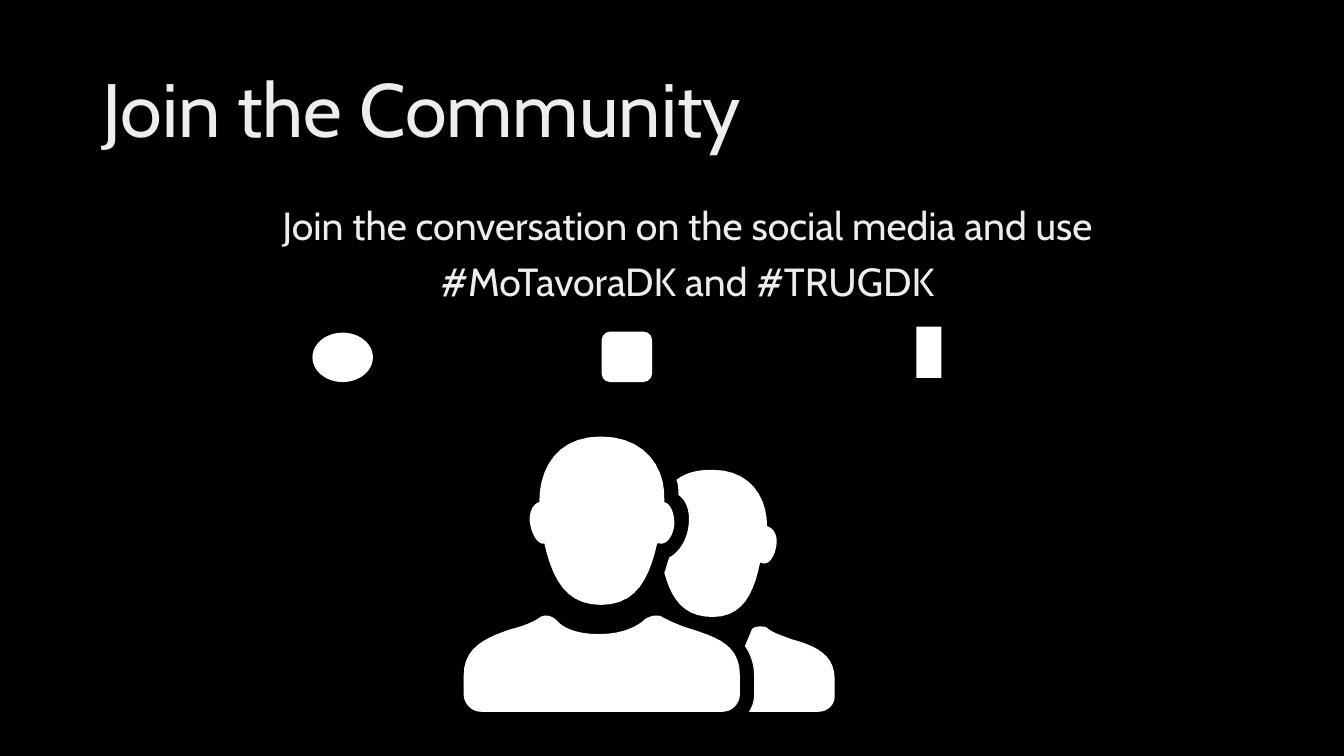
from dataclasses import dataclass

from pptx import Presentation
from pptx.dml.color import RGBColor
from pptx.enum.shapes import MSO_SHAPE
from pptx.enum.text import MSO_ANCHOR, PP_ALIGN
from pptx.util import Pt


@dataclass(frozen=True)
class Theme:
    background: RGBColor = RGBColor(0x00, 0x00, 0x00)
    text: RGBColor = RGBColor(0xED, 0xED, 0xED)
    icon: RGBColor = RGBColor(0xFF, 0xFF, 0xFF)
    font: str = "Cabin"
    title_size: int = 54
    body_size: int = 28


THEME = Theme()

# Each outline starts at a point; pairs are lines, sextets are cubic curves.
PEOPLE_WIDTH = 368
BACK_HEAD = [
    (298, 126), (303, 126, 308, 120, 310, 109), (312, 99, 308, 91, 301, 89),
    (301, 60, 284, 33, 247, 33), (231, 33, 220, 36, 211, 43),
    (213, 48, 213, 53, 213, 58), (221, 63, 225, 75, 223, 89),
    (221, 104, 213, 115, 204, 120), (202, 125, 201, 130, 199, 135),
    (206, 161, 218, 179, 247, 179), (277, 179, 288, 155, 294, 125),
]
BACK_SHOULDER = [
    (325, 201), (318, 198, 306, 195, 300, 189), (294, 188, 289, 188, 286, 191),
    (279, 208), (284, 215, 288, 225, 288, 237), (288, 256),
    (288, 263, 286, 268, 283, 273), (352, 273),
    (361, 273, 368, 266, 368, 258), (368, 241), (368, 217, 351, 208, 325, 201),
]
FRONT_HEAD = [
    (80, 106), (88, 142, 102, 167, 136, 167), (172, 167, 184, 140, 192, 106),
    (194, 106), (201, 108, 208, 99, 209, 87), (209, 77, 206, 67, 199, 65),
    (201, 31, 180, 0, 136, 0), (93, 0, 75, 31, 75, 65),
    (68, 67, 64, 77, 66, 87), (68, 99, 75, 108, 80, 106),
]
FRONT_SHOULDERS = [
    (226, 191), (218, 189, 204, 183, 197, 179), (192, 176, 185, 178, 180, 181),
    (180, 181, 167, 196, 134, 196), (102, 196, 93, 183, 93, 183),
    (88, 178, 82, 176, 76, 179), (70, 184, 56, 189, 47, 191),
    (20, 200, 0, 210, 0, 237), (0, 256), (0, 264, 7, 273, 17, 273),
    (257, 273), (267, 273, 274, 264, 274, 256), (274, 237),
    (274, 208, 254, 200, 226, 191),
]


def add_text(s, box, lines, size, align, anchor, space_before=0):
    tf = s.shapes.add_textbox(*map(Pt, box)).text_frame
    tf.word_wrap = True
    tf.vertical_anchor = anchor
    for i, line in enumerate(lines):
        p = tf.paragraphs[0] if i == 0 else tf.add_paragraph()
        p.text = line
        p.alignment = align
        p.line_spacing = 0.9
        p.space_before = Pt(space_before)
        p.font.name = THEME.font
        p.font.size = Pt(size)
        p.font.color.rgb = THEME.text


def paint_icon(sp):
    sp.fill.solid()
    sp.fill.fore_color.rgb = THEME.icon
    sp.line.fill.background()
    sp.shadow.inherit = False


def flatten(outline, steps=10):
    """Turn an outline's lines and cubic curves into a list of points."""
    points = [outline[0]]
    for segment in outline[1:]:
        if len(segment) == 2:
            points.append(segment)
            continue
        start = points[-1]
        for step in range(1, steps + 1):
            t = step / steps
            u = 1 - t
            points.append(tuple(
                u**3 * start[k] + 3 * u * u * t * segment[k]
                + 3 * u * t * t * segment[k + 2] + t**3 * segment[k + 4]
                for k in (0, 1)))
    return points


def add_people(s, left, top, width):
    scale = width / PEOPLE_WIDTH
    builder = None
    for outline in (BACK_HEAD, BACK_SHOULDER, FRONT_HEAD, FRONT_SHOULDERS):
        points = [(Pt(left + x * scale), Pt(top + y * scale))
                  for x, y in flatten(outline)]
        if builder is None:
            builder = s.shapes.build_freeform(*points[0])
        else:
            builder.move_to(*points[0])
        builder.add_line_segments(points[1:], close=True)
    paint_icon(builder.convert_to_shape())


def add_channels(s, left, top):
    """Place one plain marker per social channel, by offset from the row's corner."""
    for kind, x, y, w, h in (
        (MSO_SHAPE.OVAL, 0, 4.3, 43.2, 35.3),
        (MSO_SHAPE.ROUNDED_RECTANGLE, 206.6, 3.6, 36, 36),
        (MSO_SHAPE.RECTANGLE, 431.3, 0, 18, 36.7),
    ):
        paint_icon(s.shapes.add_shape(
            kind, Pt(left + x), Pt(top + y), Pt(w), Pt(h)))


def community_slide(prs):
    s = prs.slides.add_slide(prs.slide_layouts[6])
    s.background.fill.solid()
    s.background.fill.fore_color.rgb = THEME.background
    add_text(s, (66, 28.8, 828, 104.4), ["Join the Community"],
             THEME.title_size, PP_ALIGN.LEFT, MSO_ANCHOR.MIDDLE)
    add_text(s, (88, 144, 805.7, 342.7),
             ["Join the conversation on the social media and use",
              "#MoTavoraDK and #TRUGDK"],
             THEME.body_size, PP_ALIGN.CENTER, MSO_ANCHOR.TOP, 10)
    add_channels(s, 223.2, 233.3)
    add_people(s, 331.2, 311.8, 265)


def main():
    prs = Presentation()
    prs.slide_width, prs.slide_height = Pt(960), Pt(540)
    community_slide(prs)
    prs.save("out.pptx")


if __name__ == "__main__":
    main()
